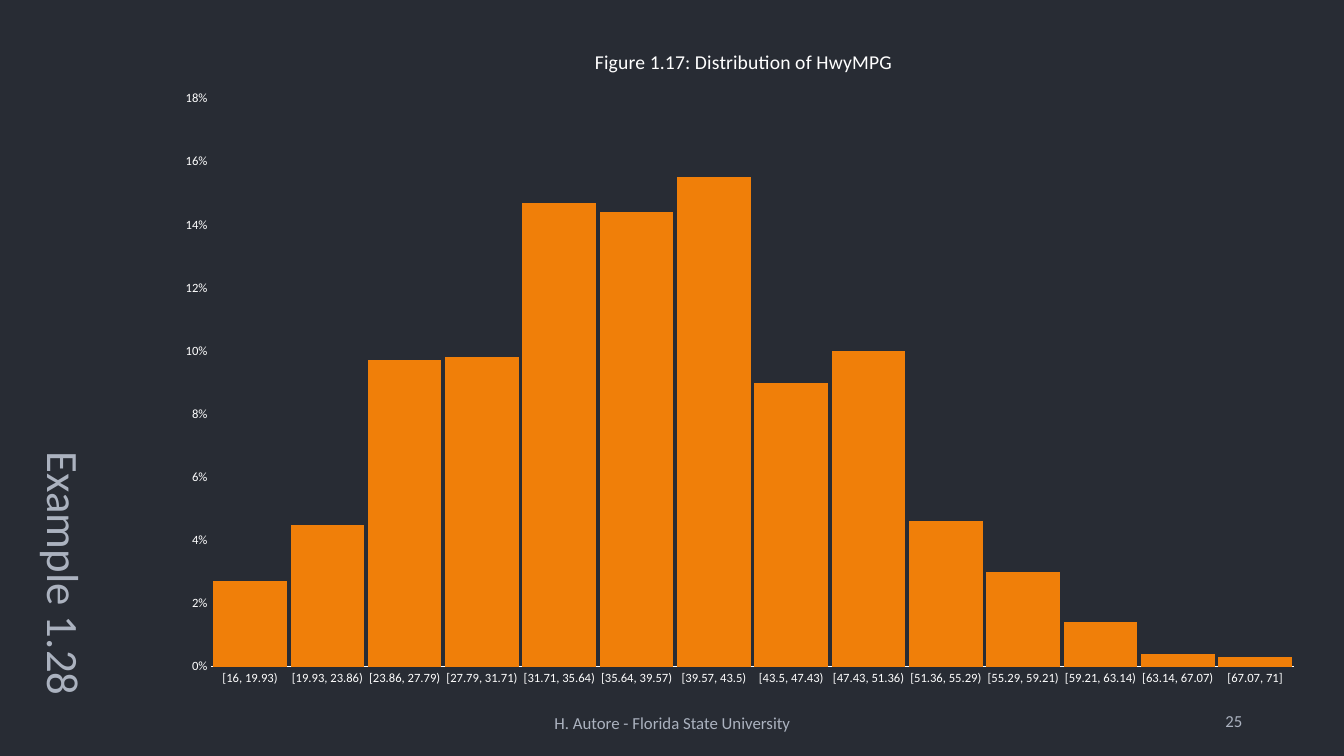
import pptx
import pptx.chart.data
import pptx.dml.color
import pptx.enum.chart
import pptx.enum.text
import pptx.util
from pptx.oxml import parse_xml
from pptx.oxml.ns import nsdecls

Inches, Pt = pptx.util.Inches, pptx.util.Pt
RGBColor = pptx.dml.color.RGBColor
ALIGN = pptx.enum.text.PP_ALIGN
ANCHOR = pptx.enum.text.MSO_ANCHOR
NO_TICK = pptx.enum.chart.XL_TICK_MARK.NONE

NIGHT = RGBColor(0x28, 0x2C, 0x34)
MIST = RGBColor(0xAB, 0xB2, 0xBF)
WHITE = RGBColor(0xFF, 0xFF, 0xFF)
ORANGE = RGBColor(0xF0, 0x7F, 0x09)
FACE = "Calibri"

WIDTH, HEIGHT = 13.33, 7.5
BODY_TOP, BODY_HEIGHT = 0.24, 6.71
TITLE_BOX = (0.27, BODY_TOP, 1.38, BODY_HEIGHT)
CHART_BOX = (1.64, BODY_TOP, 11.42, BODY_HEIGHT)
FOOTER_BOX = (2.67, 6.97, 8, 0.4)
NUMBER_BOX = (11.05, 6.95, 1.37, 0.4)

MPG_SHARES = {
    "[16, 19.93)": 0.027, "[19.93, 23.86)": 0.045, "[23.86, 27.79)": 0.097,
    "[27.79, 31.71)": 0.098, "[31.71, 35.64)": 0.147, "[35.64, 39.57)": 0.144,
    "[39.57, 43.5)": 0.155, "[43.5, 47.43)": 0.09, "[47.43, 51.36)": 0.1,
    "[51.36, 55.29)": 0.046, "[55.29, 59.21)": 0.03, "[59.21, 63.14)": 0.014,
    "[63.14, 67.07)": 0.004, "[67.07, 71]": 0.003,
}


def style_font(font, size, color):
    font.name, font.size, font.bold = FACE, Pt(size), False
    font.color.rgb = color


def set_layout(parent, before, target="", **shares):
    """Place a chart part by shares of the chart's width and height."""
    for old in parent.findall(pptx.oxml.ns.qn("c:layout")):
        parent.remove(old)
    inner = f'<c:layoutTarget val="{target}"/>' if target else ""
    inner += "".join(f'<c:{axis}Mode val="edge"/>' for axis in "xy")
    inner += "".join(f'<c:{key} val="{share}"/>' for key, share in shares.items())
    layout = parse_xml(f'<c:layout {nsdecls("c")}><c:manualLayout>{inner}'
                       "</c:manualLayout></c:layout>")
    parent.insert(before, layout)


def place_side_title(slide, box, wording):
    """Turn the title a quarter clockwise so that it fills the upright box."""
    left, top, width, height = box
    shift = (height - width) / 2
    title = slide.shapes.title
    title.left, title.top = Inches(left - shift), Inches(top + shift)
    title.width, title.height = Inches(height), Inches(width)
    title.rotation = 90
    frame = title.text_frame
    frame.text = wording
    frame.word_wrap = True
    frame.auto_size = pptx.enum.text.MSO_AUTO_SIZE.NONE
    frame.vertical_anchor = ANCHOR.BOTTOM
    frame.margin_right, frame.margin_bottom = Inches(0.05), Inches(0.1)
    heading = frame.paragraphs[0]
    heading.alignment = ALIGN.RIGHT
    heading.line_spacing = 0.9
    style_font(heading.font, 32, MIST)


def place_histogram(slide, box, caption, shares):
    data = pptx.chart.data.CategoryChartData(number_format="0%")
    data.categories = shares.keys()
    data.add_series("Series 1", shares.values())
    chart = slide.shapes.add_chart(
        pptx.enum.chart.XL_CHART_TYPE.COLUMN_CLUSTERED,
        *map(Inches, box), data).chart
    style_font(chart.font, 10, WHITE)
    chart.has_legend = False

    chart.has_title = True
    chart.chart_title.include_in_layout = False
    chart.chart_title.text_frame.text = caption
    style_font(chart.chart_title.text_frame.paragraphs[0].font, 14, WHITE)
    set_layout(chart.chart_title._element, 1, x=0.37, y=0.03)
    plot_area = chart._chartSpace.chart.plotArea
    set_layout(plot_area, 0, "inner", x=0.04, y=0.11, w=0.94, h=0.84)

    bars = chart.plots[0]
    bars.gap_width, bars.overlap = 5, -27
    bars.vary_by_categories = False
    fill = bars.series[0].format.fill
    fill.solid()
    fill.fore_color.rgb = ORANGE

    for axis in (chart.category_axis, chart.value_axis):
        axis.major_tick_mark = axis.minor_tick_mark = NO_TICK
        axis.has_major_gridlines = False
        style_font(axis.tick_labels.font, 9, WHITE)
    chart.category_axis.format.line.color.rgb = WHITE
    chart.category_axis.format.line.width = Pt(0.75)
    percent = chart.value_axis
    percent.format.line.fill.background()
    percent.minimum_scale, percent.maximum_scale = 0, 0.18
    percent.major_unit = 0.02
    percent.tick_labels.number_format = "0%"
    percent.tick_labels.number_format_is_linked = False


def place_footer_text(slide, box, wording, alignment):
    frame = slide.shapes.add_textbox(*map(Inches, box)).text_frame
    frame.word_wrap = True
    frame.vertical_anchor = ANCHOR.MIDDLE
    frame.text = wording
    frame.paragraphs[0].alignment = alignment
    style_font(frame.paragraphs[0].font, 12, MIST)


def main():
    deck = pptx.Presentation()
    deck.slide_width, deck.slide_height = Inches(WIDTH), Inches(HEIGHT)
    slide = deck.slides.add_slide(deck.slide_layouts.get_by_name("Title Only"))
    slide.background.fill.solid()
    slide.background.fill.fore_color.rgb = NIGHT
    place_side_title(slide, TITLE_BOX, "Example 1.28")
    place_histogram(slide, CHART_BOX,
                    "Figure 1.17: Distribution of HwyMPG", MPG_SHARES)
    place_footer_text(slide, NUMBER_BOX, "25", ALIGN.RIGHT)
    place_footer_text(slide, FOOTER_BOX,
                      "H. Autore - Florida State University", ALIGN.CENTER)
    deck.save("out.pptx")


if __name__ == "__main__":
    main()
